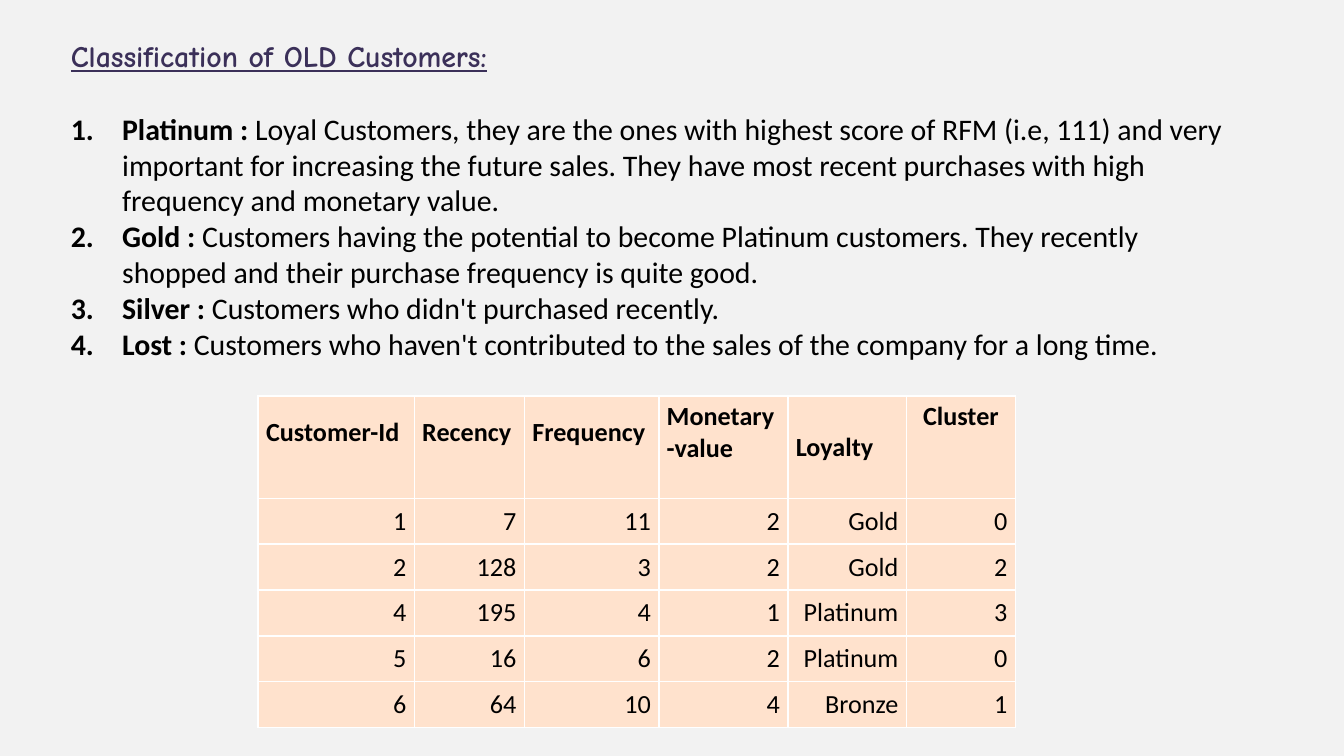
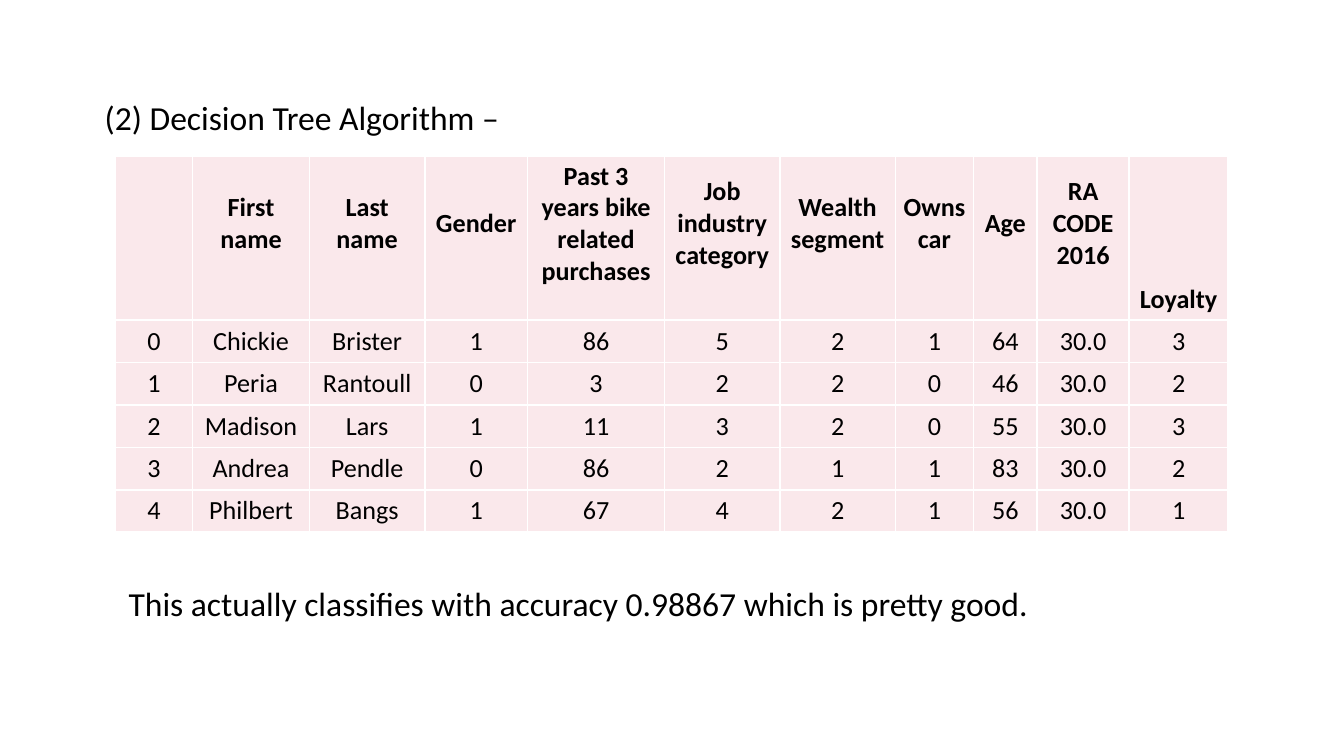
import dataclasses

import lxml.etree
import pptx
import pptx.dml.color
import pptx.enum.text
import pptx.oxml.ns
import pptx.util

Cm = pptx.util.Cm
Pt = pptx.util.Pt
ALIGN = pptx.enum.text.PP_ALIGN
ANCHOR = pptx.enum.text.MSO_ANCHOR


@dataclasses.dataclass(frozen=True)
class Theme:
    body_font: str = "Calibri"
    title_font: str = "Comic Neue"
    ink: str = "000000"
    title: str = "3B3059"
    border: str = "FFFFFF"
    gray_page: str = "F2F2F2"
    white_page: str = "FFFFFF"
    peach: str = "FFE2CD"
    pink: str = "FAE8EB"
    table_size: int = 14
    list_size: int = 16
    statement_size: int = 18


@dataclasses.dataclass(frozen=True)
class Box:
    left: float
    top: float
    width: float
    height: float

    def lengths(self):
        return Cm(self.left), Cm(self.top), Cm(self.width), Cm(self.height)


@dataclasses.dataclass(frozen=True)
class HeaderCell:
    text: str
    align: ALIGN = ALIGN.CENTER
    anchor: ANCHOR = ANCHOR.MIDDLE
    lift: float = 0.56


THEME = Theme()
CELL_SIDE = 0.15
CELL_EDGE = 0.08
LIST_INDENT = Cm(0.97)

LOYALTY_CLASSES = [
    ("Platinum :", " Loyal Customers, they are the ones with highest score of RFM (i.e, 111) "
     "and very important for increasing the future sales. They have most recent purchases "
     "with high frequency and monetary value."),
    ("Gold : ", "Customers having the potential to become Platinum customers. They recently "
     "shopped and their purchase frequency is quite good."),
    ("Silver :", " Customers who didn't purchased recently."),
    ("Lost :", " Customers who haven't contributed to the sales of the company for a long time."),
]

LOYALTY_HEADER = [
    HeaderCell("Customer-Id", ALIGN.LEFT),
    HeaderCell("Recency", ALIGN.LEFT),
    HeaderCell("Frequency", ALIGN.LEFT),
    HeaderCell("Monetary-value", ALIGN.LEFT),
    HeaderCell("Loyalty", ALIGN.LEFT, lift=0),
    HeaderCell("Cluster", anchor=ANCHOR.TOP, lift=0),
]
LOYALTY_WIDTHS = [2.95, 2.08, 2.54, 2.44, 2.24, 2.06]
LOYALTY_ROWS = [
    ("1", "7", "11", "2", "Gold", "0"),
    ("2", "128", "3", "2", "Gold", "2"),
    ("4", "195", "4", "1", "Platinum", "3"),
    ("5", "16", "6", "2", "Platinum", "0"),
    ("6", "64", "10", "4", "Bronze", "1"),
]

TREE_HEADER = [HeaderCell(text) for text in (
    "", "First name", "Last name", "Gender", "Past 3 years bike related purchases",
    "Job industry category", "Wealth segment", "Owns car", "Age", "RA CODE 2016",
)] + [HeaderCell("Loyalty", anchor=ANCHOR.BOTTOM, lift=0)]
TREE_WIDTHS = [1.46, 2.21, 2.18, 1.94, 2.59, 2.18, 2.18, 1.48, 1.2, 1.74, 1.87]
TREE_ROWS = [
    ("0", "Chickie", "Brister", "1", "86", "5", "2", "1", "64", "30.0", "3"),
    ("1", "Peria", "Rantoull", "0", "3", "2", "2", "0", "46", "30.0", "2"),
    ("2", "Madison", "Lars", "1", "11", "3", "2", "0", "55", "30.0", "3"),
    ("3", "Andrea", "Pendle", "0", "86", "2", "1", "1", "83", "30.0", "2"),
    ("4", "Philbert", "Bangs", "1", "67", "4", "2", "1", "56", "30.0", "1"),
]


def rgb(value):
    return pptx.dml.color.RGBColor.from_string(value)


def add_slide(presentation, page_color):
    slide = presentation.slides.add_slide(presentation.slide_layouts[6])
    slide.background.fill.solid()
    slide.background.fill.fore_color.rgb = rgb(page_color)
    return slide


def add_run(paragraph, text, size, bold=False, font=THEME.body_font, color=THEME.ink):
    run = paragraph.add_run()
    run.text = text
    run.font.name = font
    run.font.size = Pt(size)
    run.font.bold = bold
    run.font.color.rgb = rgb(color)
    return run


def add_text_frame(slide, box):
    text_frame = slide.shapes.add_textbox(*box.lengths()).text_frame
    text_frame.word_wrap = True
    text_frame.auto_size = pptx.enum.text.MSO_AUTO_SIZE.SHAPE_TO_FIT_TEXT
    return text_frame


def number_paragraph(paragraph):
    properties = paragraph._p.get_or_add_pPr()
    properties.set("marL", str(LIST_INDENT))
    properties.set("indent", str(-LIST_INDENT))
    lxml.etree.SubElement(properties, pptx.oxml.ns.qn("a:buFont"), typeface="+mj-lt")
    lxml.etree.SubElement(properties, pptx.oxml.ns.qn("a:buAutoNum"), type="arabicPeriod")


def add_class_list(slide, box):
    text_frame = add_text_frame(slide, box)
    heading = text_frame.paragraphs[0]
    heading.space_after = Pt(20)
    run = add_run(heading, "Classification of OLD Customers:", THEME.list_size, True,
                  THEME.title_font, THEME.title)
    run.font.underline = True
    for name, description in LOYALTY_CLASSES:
        paragraph = text_frame.add_paragraph()
        number_paragraph(paragraph)
        add_run(paragraph, name, THEME.list_size, True)
        add_run(paragraph, description, THEME.list_size)


def add_statement(slide, box, text):
    add_run(add_text_frame(slide, box).paragraphs[0], text, THEME.statement_size)


def draw_borders(cell):
    properties = cell._tc.get_or_add_tcPr()
    for index, side in enumerate(("lnL", "lnR", "lnT", "lnB")):
        line = lxml.etree.Element(pptx.oxml.ns.qn(f"a:{side}"), w=str(Pt(1)))
        fill = lxml.etree.SubElement(line, pptx.oxml.ns.qn("a:solidFill"))
        lxml.etree.SubElement(fill, pptx.oxml.ns.qn("a:srgbClr"), val=THEME.border)
        properties.insert(index, line)


def fill_cell(cell, content, color, bold):
    cell.margin_left = cell.margin_right = Cm(CELL_SIDE)
    cell.margin_top = Cm(CELL_EDGE)
    cell.margin_bottom = Cm(CELL_EDGE + content.lift)
    cell.vertical_anchor = content.anchor
    cell.fill.solid()
    cell.fill.fore_color.rgb = rgb(color)
    draw_borders(cell)
    paragraph = cell.text_frame.paragraphs[0]
    paragraph.alignment = content.align
    if content.text:
        add_run(paragraph, content.text, THEME.table_size, bold)


def add_data_table(slide, box, widths, header_height, header, rows, body_align, color):
    table = slide.shapes.add_table(len(rows) + 1, len(widths), *box.lengths()).table
    table.horz_banding = False
    for column, width in zip(table.columns, widths):
        column.width = Cm(width)
    row_height = (box.height - header_height) / len(rows)
    for index, row in enumerate(table.rows):
        row.height = Cm(row_height if index else header_height)
    body = [[HeaderCell(text, body_align, lift=0) for text in row] for row in rows]
    for row_index, contents in enumerate([header] + body):
        for column_index, content in enumerate(contents):
            fill_cell(table.cell(row_index, column_index), content, color, row_index == 0)


def build_loyalty_slide(presentation):
    slide = add_slide(presentation, THEME.gray_page)
    add_class_list(slide, Box(1.09, 0.58, 22.45, 7.09))
    add_data_table(slide, Box(4.88, 7.49, 14.31, 6.26), LOYALTY_WIDTHS, 1.93,
                   LOYALTY_HEADER, LOYALTY_ROWS, ALIGN.RIGHT, THEME.peach)


def build_tree_slide(presentation):
    slide = add_slide(presentation, THEME.white_page)
    add_statement(slide, Box(1.73, 1.7, 16.94, 1.8), "(2) Decision Tree Algorithm –")
    add_data_table(slide, Box(2.18, 2.95, 21.03, 7.11), TREE_WIDTHS, 3.1,
                   TREE_HEADER, TREE_ROWS, ALIGN.CENTER, THEME.pink)
    add_statement(slide, Box(2.18, 10.9, 21.03, 1.02),
                  "This actually classifies with accuracy 0.98867 which is pretty good.")


def main():
    presentation = pptx.Presentation()
    presentation.slide_width = Cm(25.4)
    presentation.slide_height = Cm(14.29)
    build_loyalty_slide(presentation)
    build_tree_slide(presentation)
    presentation.save("out.pptx")


if __name__ == "__main__":
    main()
